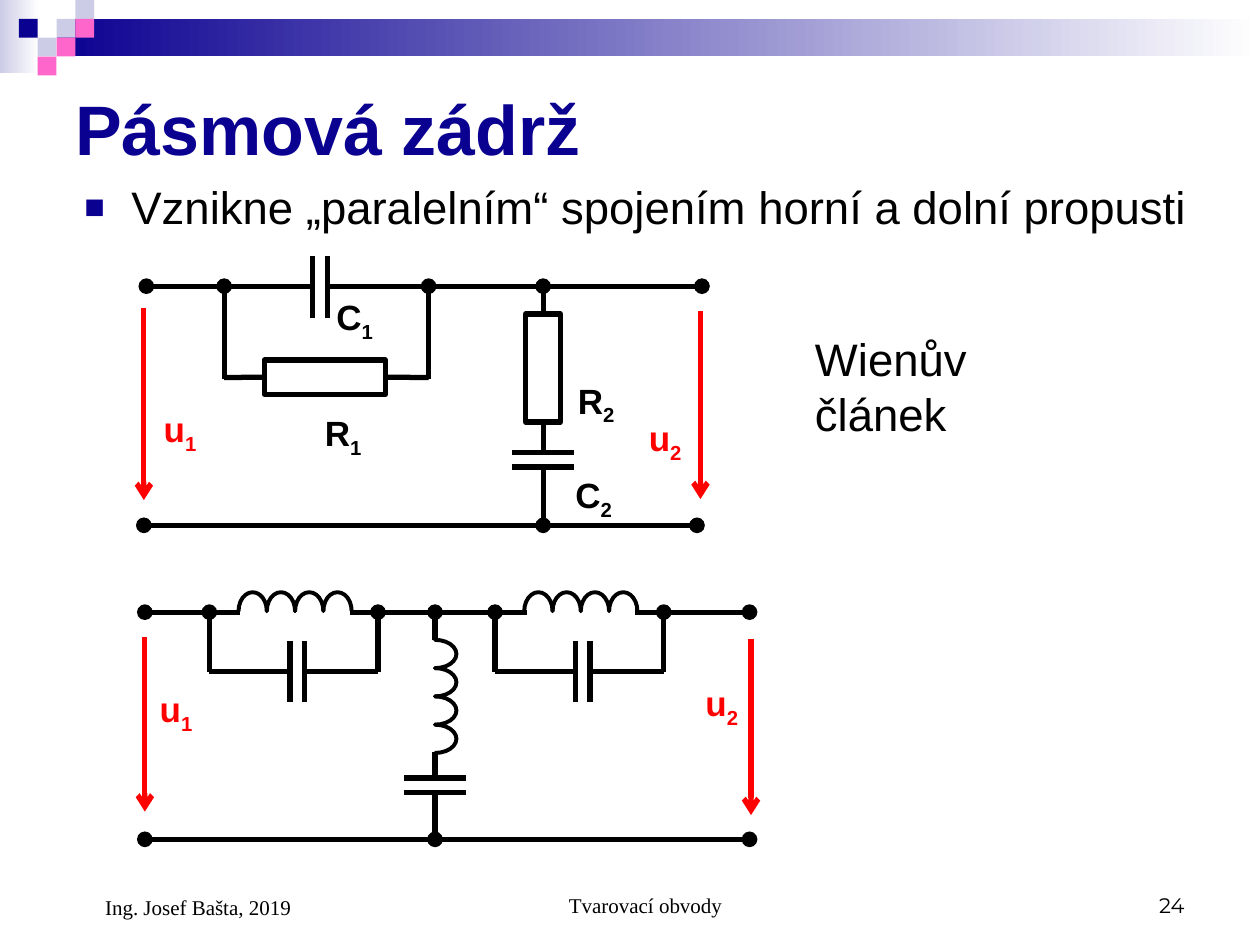
from lxml.etree import SubElement as Sub
from pptx import Presentation
from pptx.dml.color import RGBColor as Rgb
from pptx.enum.shapes import MSO_CONNECTOR as Conn, MSO_SHAPE as Kind
from pptx.enum.text import MSO_ANCHOR as Anchor, PP_ALIGN as Align
from pptx.oxml.ns import qn
from pptx.util import Cm, Pt

HUE = {"ink": "000000", "blue": "0B0191", "pale": "CCCCE6",
       "pink": "FF66CC", "red": "FF0000", "white": "FFFFFF"}
STEP = 0.57   # width of one coil turn
GAP = 0.29    # space between capacitor plates
HALF = 0.62   # half length of a capacitor plate


def rgb(name):
    return Rgb.from_string(HUE[name])


def box(tree, kind, x, y, w, h, fill=None, line=None, width=3):
    """Preset shape; a pair of colours as fill gives a gradient to the right."""
    shape = tree.add_shape(kind, Cm(x), Cm(y), Cm(w), Cm(h))
    shape.shadow.inherit = False
    if isinstance(fill, tuple):
        shape.fill.gradient()
        shape.fill.gradient_angle = 0
        for stop, name in zip(shape.fill.gradient_stops, fill):
            stop.color.rgb = rgb(name)
    elif fill:
        shape.fill.solid()
        shape.fill.fore_color.rgb = rgb(fill)
    else:
        shape.fill.background()
    if line:
        shape.line.color.rgb = rgb(line)
        shape.line.width = Pt(width)
    else:
        shape.line.fill.background()
    return shape


def wire(tree, x1, y1, x2, y2, color="ink", head=None, tail=None):
    line = tree.add_connector(Conn.STRAIGHT, Cm(x1), Cm(y1), Cm(x2), Cm(y2))
    line.line.color.rgb = rgb(color)
    line.line.width = Pt(3)
    props = line._element.spPr
    for tag, end in (("a:headEnd", head), ("a:tailEnd", tail)):
        if end:
            Sub(props.find(qn("a:ln")), qn(tag), type=end)
    Sub(props, qn("a:effectLst"))
    return line


def text(tree, words, x, y, w, h, size=20, font="Arial", color="ink",
         bold=False, align=Align.LEFT, anchor=Anchor.TOP, sub=None,
         indent=0, hang=0, bullet=None):
    frame = tree.add_textbox(Cm(x), Cm(y), Cm(w), Cm(h)).text_frame
    frame.word_wrap = True
    frame.vertical_anchor = anchor
    para = frame.paragraphs[0]
    para.alignment = align
    if indent:
        props = para._p.get_or_add_pPr()
        props.set("marL", str(Cm(indent)))
        props.set("indent", str(Cm(-hang)))
        if bullet:
            Sub(Sub(props, qn("a:buClr")), qn("a:srgbClr"), val=HUE["blue"])
            Sub(props, qn("a:buSzPct"), val="75000")
            Sub(props, qn("a:buFont"), typeface="Arial")
            Sub(props, qn("a:buChar"), char=bullet)
    for part in filter(None, (words, sub)):
        run = para.add_run()
        run.text = part
        run.font.size = Pt(size)
        run.font.name = font
        run.font.bold = bold
        run.font.color.rgb = rgb(color)
    if sub:
        run.font._element.set("baseline", "-25000")


def label(tree, name, x, y, color="ink"):
    text(tree, name[0], x, y, 1.42, 1.22, color=color, bold=True, sub=name[1])


def volt(tree, name, x, top, end, left, y):
    """Voltage arrow with its label."""
    wire(tree, x, top, x, end, "red", tail="arrow")
    label(tree, name, left, y, "red")


def cap(tree, x, y, flat=False):
    """Capacitor plates around a centre; flat plates lie horizontally."""
    for d in (-GAP / 2, GAP / 2):
        if flat:
            wire(tree, x - HALF, y + d, x + HALF, y + d)
        else:
            wire(tree, x + d, y - HALF, x + d, y + HALF)


def coil(tree, x, y, tall, down=False):
    """Four half-turns from a starting point, to the right or down."""
    for i in range(4):
        mid = STEP * (i + 0.5)
        cx, cy = (x, y + mid) if down else (x + mid, y)
        arc = box(tree, Kind.BLOCK_ARC, cx - STEP / 2, cy - tall / 2,
                  STEP, tall, line="ink", width=2.25)
        for k, value in enumerate((107.89, 0.11, 0)):
            arc.adjustments[k] = value
        arc.rotation = 90 if down else 0


def banner(tree):
    box(tree, Kind.RECTANGLE, 0, 0, 0.79, 1.47, ("pale", "white"))
    box(tree, Kind.RECTANGLE, 1.14, 0.38, 24.26, 0.76, ("blue", "white"))
    for col, row, fill in ((3, 1, "pale"), (4, 0, "pale"), (4, 1, "pink"),
                           (2, 2, "pale"), (1, 1, "blue"), (3, 2, "pink"),
                           (2, 3, "pink")):
        box(tree, Kind.RECTANGLE, col * 0.38, row * 0.38, 0.38, 0.38, fill)


def wien(tree):
    top, base, mid = 5.77, 10.59, 10.95
    # Rails and series capacitor
    wire(tree, 6.3, top, 2.95, top, tail="oval")
    wire(tree, 14.15, top, 6.6, top, head="oval")
    wire(tree, 14.05, base, 2.9, base, head="oval", tail="oval")
    cap(tree, 6.45, 5.79)
    # Series resistor
    res = box(tree, Kind.RECTANGLE, 5.33, 7.26, 2.44, 0.69, line="ink")
    for x, side in ((4.52, 1), (8.64, 3)):
        wire(tree, x, 7.65, x, top, tail="oval")
        wire(tree, x, 7.61, x, 7.61).end_connect(res, side)
    # Shunt resistor and capacitor
    res = box(tree, Kind.RECTANGLE, mid - 0.35, 6.33, 0.7, 2.18, line="ink")
    wire(tree, mid, 6.33, mid, top, tail="oval").begin_connect(res, 0)
    wire(tree, mid, 8.51, mid, 9.13).begin_connect(res, 2)
    cap(tree, mid, 9.27, flat=True)
    wire(tree, mid, base, mid, 9.42, head="oval")
    # Labels
    for name, x, y in (("C1", 6.53, 5.84), ("R1", 6.3, 8.18),
                       ("R2", 11.4, 7.52), ("C2", 11.35, 9.42)):
        label(tree, name, x, y)
    volt(tree, "u1", 2.9, 6.2, 10.08, 3.05, 8.1)
    volt(tree, "u2", 14.12, 6.27, 10.06, 12.83, 8.28)


def tank(tree, x, top):
    """Coil with a capacitor in parallel, between two nodes."""
    low, wide = top + 1.2, 3.4
    coil(tree, x + 0.59, top - 0.02, 0.76)
    cap(tree, x + wide / 2 + 0.07, low)
    for node, plate in ((x, x + 1.62), (x + wide, x + 1.92)):
        wire(tree, node, low, node, top, tail="oval")
        wire(tree, node, low, plate, low)


def ladder(tree):
    top, base, left, right, mid = 12.34, 16.92, 2.92, 15.11, 8.77
    # Rails
    wire(tree, 4.83, top, left, top, tail="oval")
    wire(tree, 10.62, top, 7.06, top)
    wire(tree, right, top, 12.8, top, head="oval")
    wire(tree, right, base, left, base, head="oval", tail="oval")
    # Series and shunt branches
    for x in (4.22, 9.98):
        tank(tree, x, top)
    wire(tree, mid, 12.9, mid, top, tail="oval")
    coil(tree, mid, 12.9, 0.86, down=True)
    wire(tree, mid, 15.16, mid, 15.69)
    cap(tree, mid, 15.83, flat=True)
    wire(tree, mid, base, mid, 15.98, head="oval")
    volt(tree, "u1", left, 12.85, 16.36, 2.97, 13.74)
    volt(tree, "u2", 15.14, 12.88, 16.43, 13.97, 13.61)


def main():
    deck = Presentation()
    deck.slide_width, deck.slide_height = Cm(25.4), Cm(19.05)
    tree = deck.slides.add_slide(deck.slide_layouts[6]).shapes
    banner(tree)
    # Heading and text
    text(tree, "Pásmová zádrž", 1.27, 1.27, 22.86, 2.62, size=40,
         color="blue", bold=True, anchor=Anchor.MIDDLE)
    text(tree, "Vznikne „paralelním“ spojením horní a dolní propusti",
         1.45, 3.48, 22.86, 1.9, size=26, indent=0.95, hang=0.95, bullet="■")
    text(tree, "Wienův článek", 16.18, 6.55, 5.03, 2.46, size=26)
    # Circuits
    wien(tree)
    ladder(tree)
    # Footer
    foot = dict(size=12, font="Times New Roman", anchor=Anchor.BOTTOM)
    text(tree, "Ing. Josef Bašta, 2019", 1.27, 17.35, 5.92, 1.32,
         indent=0.6, **foot)
    text(tree, "Tvarovací obvody", 8.69, 17.35, 8.05, 1.27,
         indent=0.6, align=Align.CENTER, **foot)
    foot["font"] = "Montserrat"
    text(tree, "24", 18.21, 17.35, 5.92, 1.27, align=Align.RIGHT, **foot)
    deck.save("out.pptx")


if __name__ == "__main__":
    main()
